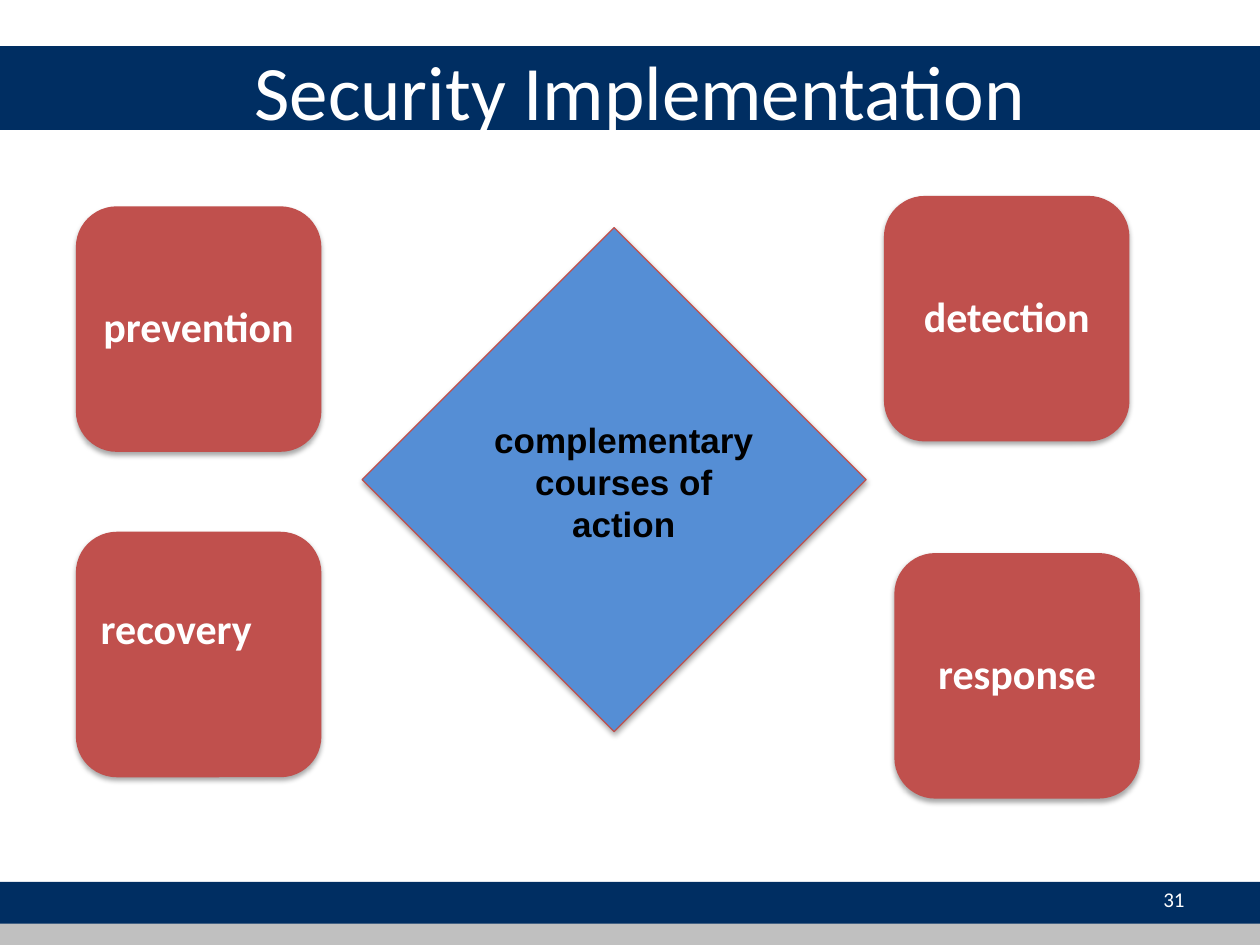
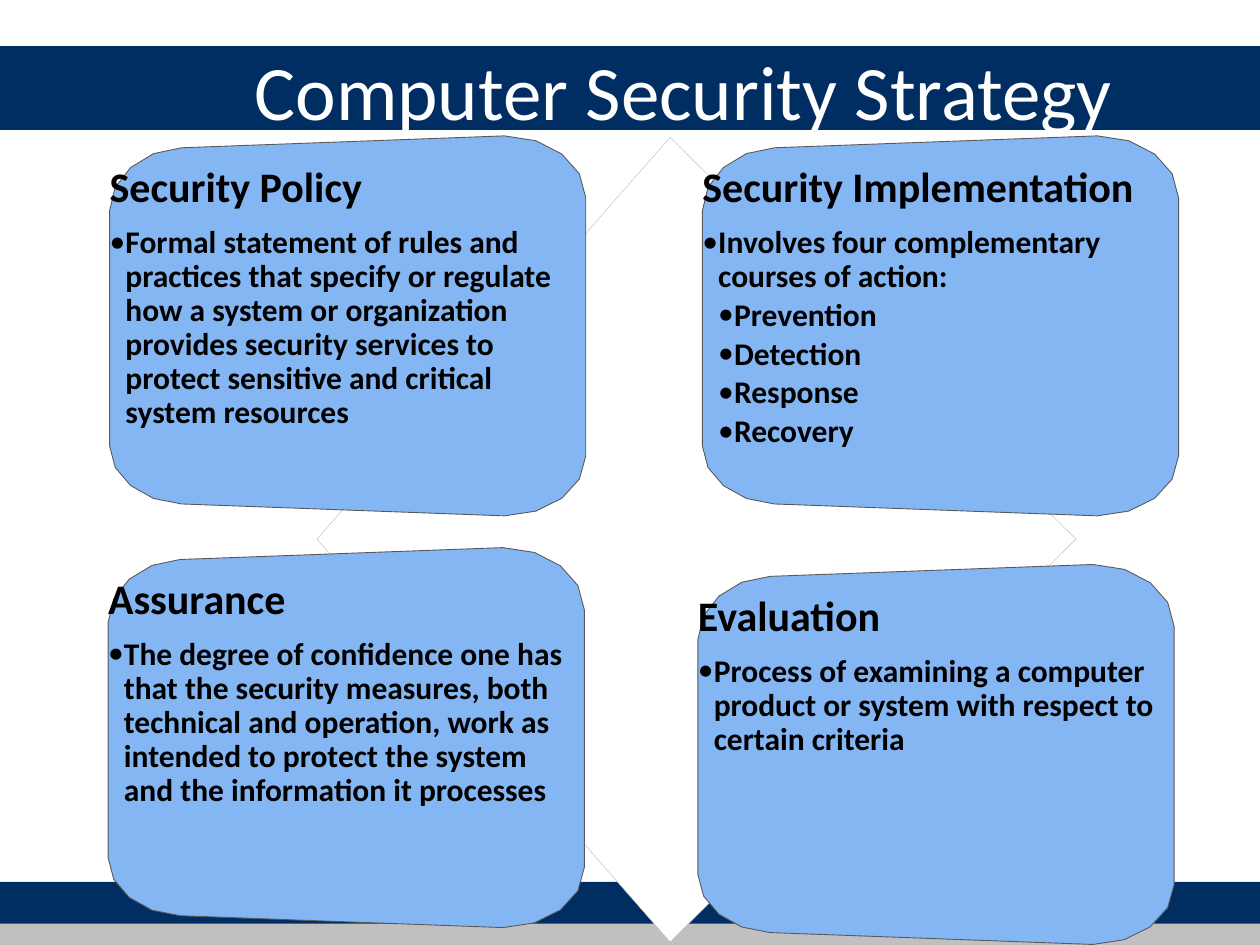
"""Build two slides on computer security: implementation and strategy."""
from dataclasses import dataclass

import lxml.etree
import pptx
import pptx.dml.color
import pptx.enum.shapes
import pptx.enum.text
import pptx.oxml.ns
import pptx.util

Cm = pptx.util.Cm
Pt = pptx.util.Pt
Align = pptx.enum.text.PP_ALIGN
Anchor = pptx.enum.text.MSO_ANCHOR
Shape = pptx.enum.shapes.MSO_SHAPE


@dataclass(frozen=True)
class Theme:
    """Colours, fonts and type sizes shared by the slides."""
    navy: str = "002E62"
    silver: str = "C0C0C0"
    white: str = "FFFFFF"
    black: str = "000000"
    red: str = "C0504D"
    blue: str = "558ED5"
    card: str = "85B6F4"
    card_edge: str = "595959"
    faint_edge: str = "BFBFBF"
    font: str = "Calibri"
    label_font: str = "Arial"
    title_size: int = 44
    heading_size: int = 24
    label_size: int = 20
    body_size: int = 18
    number_size: int = 12


THEME = Theme()

BANDS = [
    (17.78, 0.85, THEME.navy),
    (0.93, 1.69, THEME.navy),
    (18.62, 0.43, THEME.silver),
]

ACTION_SIDE = 4.95
ACTIONS = [
    ("response", 18.03, 11.15),
    ("prevention", 1.53, 4.16),
    ("detection", 17.82, 3.95),
]

CARD_CORNERS = [
    ((0, 1.51), (0, 0.3), (1.45, 0.24)),
    ((7.96, 0), (9.6, 0), (9.6, 1.25)),
    ((9.6, 6.45), (9.6, 7.66), (7.96, 7.66)),
    ((1.45, 7.42), (0, 7.36), (0, 6.25)),
]

CARDS = [
    (2.21, 2.74, "Security Policy", [
        (1, "Formal statement of rules and practices that specify or regulate "
            "how a system or organization provides security services to "
            "protect sensitive and critical system resources")]),
    (14.16, 2.74, "Security Implementation", [
        (1, "Involves four complementary courses of action:"),
        (2, "Prevention"), (2, "Detection"), (2, "Response"), (2, "Recovery")]),
    (2.18, 11.04, "Assurance", [
        (1, "The degree of confidence one has that the security measures, both "
            "technical and operation, work as intended to protect the system "
            "and the information it processes")]),
    (14.07, 11.38, "Evaluation", [
        (1, "Process of examining a computer product or system with respect to "
            "certain criteria")]),
]


def rgb(value):
    """Return a colour object for a hex value."""
    return pptx.dml.color.RGBColor.from_string(value)


def paint(shape, fill, line=None, width=0.75):
    """Give a shape a flat fill, an optional outline and no shadow."""
    shape.shadow.inherit = False
    shape.fill.solid()
    shape.fill.fore_color.rgb = rgb(fill)
    if line:
        shape.line.color.rgb = rgb(line)
        shape.line.width = Pt(width)
    else:
        shape.line.fill.background()


def add_shadow(shape):
    """Add a soft shadow below a painted shape."""
    qn = pptx.oxml.ns.qn
    effects = shape.element.spPr.find(qn("a:effectLst"))
    outer = lxml.etree.SubElement(
        effects, qn("a:outerShdw"), blurRad=str(Pt(3.1)), dist=str(Pt(1.8)),
        dir="5400000", rotWithShape="0")
    colour = lxml.etree.SubElement(outer, qn("a:srgbClr"), val=THEME.black)
    lxml.etree.SubElement(colour, qn("a:alpha"), val="35000")


def format_para(para, size, colour, bold=False, align=Align.LEFT, font=THEME.font):
    """Format a paragraph and its runs."""
    para.alignment = align
    for span in para.runs:
        span.font.name = font
        span.font.size = Pt(size)
        span.font.bold = bold
        span.font.color.rgb = rgb(colour)


def set_frame(shape, anchor, left, top, right, bottom):
    """Set anchor, wrapping and insets of a text frame and return it."""
    frame = shape.text_frame
    frame.word_wrap = True
    frame.auto_size = pptx.enum.text.MSO_AUTO_SIZE.NONE
    frame.vertical_anchor = anchor
    frame.margin_left, frame.margin_top = Cm(left), Cm(top)
    frame.margin_right, frame.margin_bottom = Cm(right), Cm(bottom)
    return frame


def add_bullet(para, level):
    """Give a paragraph a hanging bullet at its level."""
    qn = pptx.oxml.ns.qn
    para.level = level
    properties = para._p.get_or_add_pPr()
    properties.set("marL", str(Cm(0.32 * level)))
    properties.set("indent", str(-Cm(0.32)))
    lxml.etree.SubElement(properties, qn("a:buFont"), typeface=THEME.font)
    lxml.etree.SubElement(properties, qn("a:buChar"), char="•")


def add_master_bands(deck, page):
    """Draw the bands and move them to the back of the slide master."""
    tree = deck.slide_master.element.cSld.spTree
    for position, (top, height, colour) in enumerate(BANDS, start=2):
        band = page.shapes.add_shape(
            Shape.RECTANGLE, 0, Cm(top), deck.slide_width, Cm(height))
        paint(band, colour)
        tree.insert(position, band.element)


def add_page(deck, title):
    """Add a slide with its title over the upper band."""
    page = deck.slides.add_slide(deck.slide_layouts[5])
    box = page.shapes.title
    box.left, box.top, box.width, box.height = Cm(4.88), Cm(0.22), Cm(20.12), Cm(3.18)
    frame = set_frame(box, Anchor.MIDDLE, 0.25, 0.13, 0.25, 0.13)
    frame.text = title
    format_para(frame.paragraphs[0], THEME.title_size, THEME.white)
    return page


def add_action(page, label, left, top, align=Align.CENTER, anchor=Anchor.MIDDLE,
               top_inset=0.26):
    """Add a red rounded square naming one course of action."""
    box = page.shapes.add_shape(
        Shape.ROUNDED_RECTANGLE, Cm(left), Cm(top), Cm(ACTION_SIDE), Cm(ACTION_SIDE))
    paint(box, THEME.red)
    add_shadow(box)
    frame = set_frame(box, anchor, 0.26, top_inset, 0.26, 0.26)
    frame.text = label
    para = frame.paragraphs[0]
    para.line_spacing = 0.9
    format_para(para, THEME.heading_size, THEME.white, True, align)


def add_text(page, text, left, top, width, height, anchor, **style):
    """Add a text box with one formatted paragraph."""
    box = page.shapes.add_textbox(Cm(left), Cm(top), Cm(width), Cm(height))
    frame = set_frame(box, anchor, 0.25, 0.13, 0.25, 0.13)
    frame.text = text
    format_para(frame.paragraphs[0], **style)


def add_outline(page, points):
    """Add a closed freeform through points given in centimetres."""
    corners = [(Cm(x), Cm(y)) for x, y in points]
    builder = page.shapes.build_freeform(*corners[0])
    builder.add_line_segments(corners[1:], close=True)
    return builder.convert_to_shape()


def round_corner(start, corner, end, steps=4):
    """Return points along a rounded corner."""
    pull = 0.55
    first = [a + pull * (c - a) for a, c in zip(start, corner)]
    second = [b + pull * (c - b) for b, c in zip(end, corner)]
    points = []
    for step in range(steps + 1):
        t = step / steps
        points.append(tuple(
            (1 - t) ** 3 * a + 3 * (1 - t) ** 2 * t * p + 3 * (1 - t) * t ** 2 * q + t ** 3 * b
            for a, p, q, b in zip(start, first, second, end)))
    return points


def add_card(page, left, top, heading, bullets):
    """Add a tilted card with a heading and its bullets."""
    points = [(left + x, top + y)
              for corner in CARD_CORNERS for x, y in round_corner(*corner)]
    card = add_outline(page, points)
    paint(card, THEME.card, THEME.card_edge, 0.5)
    frame = set_frame(card, Anchor.TOP, 0, 0.61, 0.41, 0.48)
    frame.text = heading
    para = frame.paragraphs[0]
    para.line_spacing = 0.9
    para.space_after = Pt(8.5)
    format_para(para, THEME.heading_size, THEME.black, True)
    for level, text in bullets:
        para = frame.add_paragraph()
        para.text = text
        para.line_spacing = 0.9
        para.space_after = Pt(2.7)
        format_para(para, THEME.body_size, THEME.black, True)
        add_bullet(para, level)


def build_implementation(page):
    """Fill the slide on the four courses of action."""
    diamond = page.shapes.add_shape(
        Shape.DIAMOND, Cm(7.3), Cm(4.59), Cm(10.16), Cm(10.16))
    paint(diamond, THEME.blue, THEME.red)
    add_shadow(diamond)
    for label, left, top in ACTIONS:
        add_action(page, label, left, top)
    add_action(page, "recovery", 1.53, 10.72, Align.LEFT, Anchor.TOP, 1.31)
    add_text(page, "complementary courses of action", 9.5, 8.31, 6.15, 2.82,
             Anchor.TOP, size=THEME.label_size, colour=THEME.black, bold=True,
             align=Align.CENTER, font=THEME.label_font)
    add_text(page, "31", 18.21, 17.61, 5.92, 1.02, Anchor.MIDDLE,
             size=THEME.number_size, colour=THEME.white, align=Align.RIGHT)


def build_strategy(page):
    """Fill the slide with four cards over a pale diamond."""
    diamond = add_outline(
        page, [(13.51, 2.77), (21.69, 10.87), (13.51, 18.99), (6.39, 10.87)])
    paint(diamond, THEME.white, THEME.faint_edge, 0.25)
    for card in CARDS:
        add_card(page, *card)


def main():
    """Build and save the deck."""
    deck = pptx.Presentation()
    deck.slide_width, deck.slide_height = Cm(25.4), Cm(19.05)
    implementation = add_page(deck, "Security Implementation")
    add_master_bands(deck, implementation)
    build_implementation(implementation)
    build_strategy(add_page(deck, "Computer Security Strategy"))
    deck.save("out.pptx")


if __name__ == "__main__":
    main()
